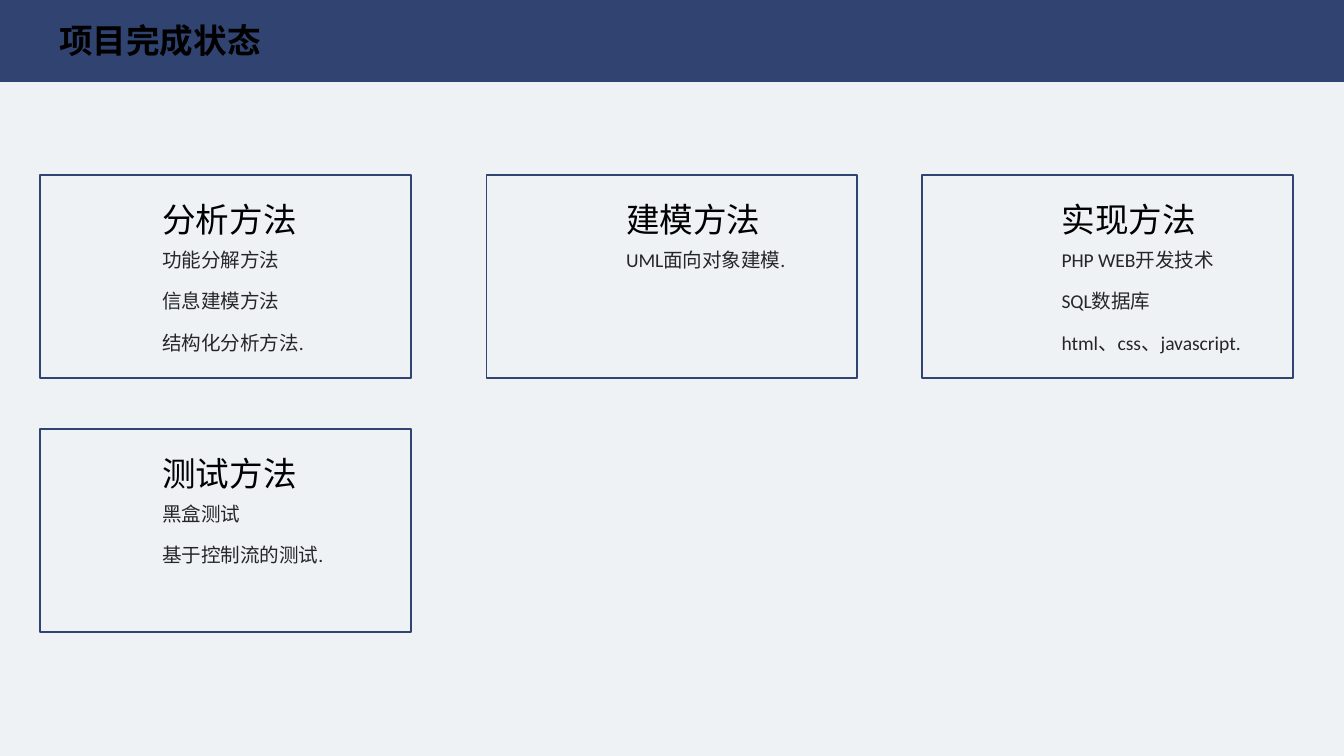
from lxml import etree
from pptx import Presentation
from pptx.dml.color import RGBColor
from pptx.enum.shapes import MSO_SHAPE
from pptx.enum.text import MSO_AUTO_SIZE, PP_ALIGN
from pptx.oxml.ns import qn
from pptx.util import Inches, Pt

TITLE = "项目完成状态"
# column, row, heading, items
CARDS = [
    (0, 0, "分析方法", ["功能分解方法", "信息建模方法", "结构化分析方法. "]),
    (1, 0, "建模方法", ["UML面向对象建模. "]),
    (2, 0, "实现方法", ["PHP WEB开发技术", "SQL数据库", "html、css、javascript. "]),
    (0, 1, "测试方法", ["黑盒测试", "基于控制流的测试. "]),
]
WIDTH = 10
HEIGHT = WIDTH * 9 / 16
COL_LEFT = [0.3, 3.62, 6.86]
COL_INDENT = [0.81, 0.94, 0.94]
ROW_TOP, ROW_STEP = 1.3, 1.89
CARD_W, CARD_H = 2.76, 1.51
NAVY, PALE, BLACK, GREY = "304371", "EEF2F5", "000000", "262626"
CJK, LATIN = "Noto Sans CJK SC", "Calibri"


def rgb(color):
    """Turn a hex string into a colour."""
    return RGBColor.from_string(color)


def add_rect(s, x, y, w, h, fill=None, line=None):
    """Add a rectangle with an optional fill and a 1 pt outline."""
    sp = s.shapes.add_shape(MSO_SHAPE.RECTANGLE, *map(Inches, (x, y, w, h)))
    sp.shadow.inherit = False
    if fill:
        sp.fill.solid()
        sp.fill.fore_color.rgb = rgb(fill)
    else:
        sp.fill.background()
    if line:
        sp.line.color.rgb = rgb(line)
        sp.line.width = Pt(1)
    else:
        sp.line.fill.background()


def add_text(s, x, y, w, h, lines, size, color, font, bold=False, wrap=True,
             align=PP_ALIGN.LEFT, spacing=None, before=None):
    """Add a text box with one paragraph per line."""
    tf = s.shapes.add_textbox(*map(Inches, (x, y, w, h))).text_frame
    tf.word_wrap = wrap
    tf.auto_size = MSO_AUTO_SIZE.SHAPE_TO_FIT_TEXT
    tf.text = "\n".join(lines)
    for p in tf.paragraphs:
        p.alignment = align
        if spacing:
            p.line_spacing, p.space_before = spacing, Pt(before)
        for r in p.runs:
            r.font.size, r.font.bold, r.font.name = Pt(size), bold, font
            r.font.color.rgb = rgb(color)
            etree.SubElement(r.font._element, qn("a:ea")).set("typeface", CJK)


def add_card_frame(s, col, row):
    """Add the outline of one card."""
    add_rect(s, COL_LEFT[col], ROW_TOP + row * ROW_STEP, CARD_W, CARD_H,
             line=NAVY)


def add_card_text(s, col, row, heading, items):
    """Add the list and the heading of one card."""
    x = COL_LEFT[col] + COL_INDENT[col]
    y = ROW_TOP + row * ROW_STEP
    add_text(s, x, y + 0.44, 1.82, 0.01 + 0.32 * len(items), items,
             10.5, GREY, LATIN, spacing=1.3, before=6)
    add_text(s, x, y + 0.13, 1.47, 0.4, [heading], 18, BLACK, CJK)


def main():
    """Build the slide and save it."""
    prs = Presentation()
    prs.slide_width, prs.slide_height = Inches(WIDTH), Inches(HEIGHT)
    s = prs.slides.add_slide(prs.slide_layouts[6])
    s.background.fill.solid()
    s.background.fill.fore_color.rgb = rgb(PALE)
    add_rect(s, 0, 0, WIDTH, 0.61, fill=NAVY)
    add_text(s, 0.34, 0.1, 1.7, 0.4, [TITLE], 18, BLACK, CJK, bold=True,
             wrap=False, align=PP_ALIGN.CENTER)
    for col, row, *_ in CARDS:
        add_card_frame(s, col, row)
    for card in CARDS:
        add_card_text(s, *card)
    prs.save("out.pptx")


main()
